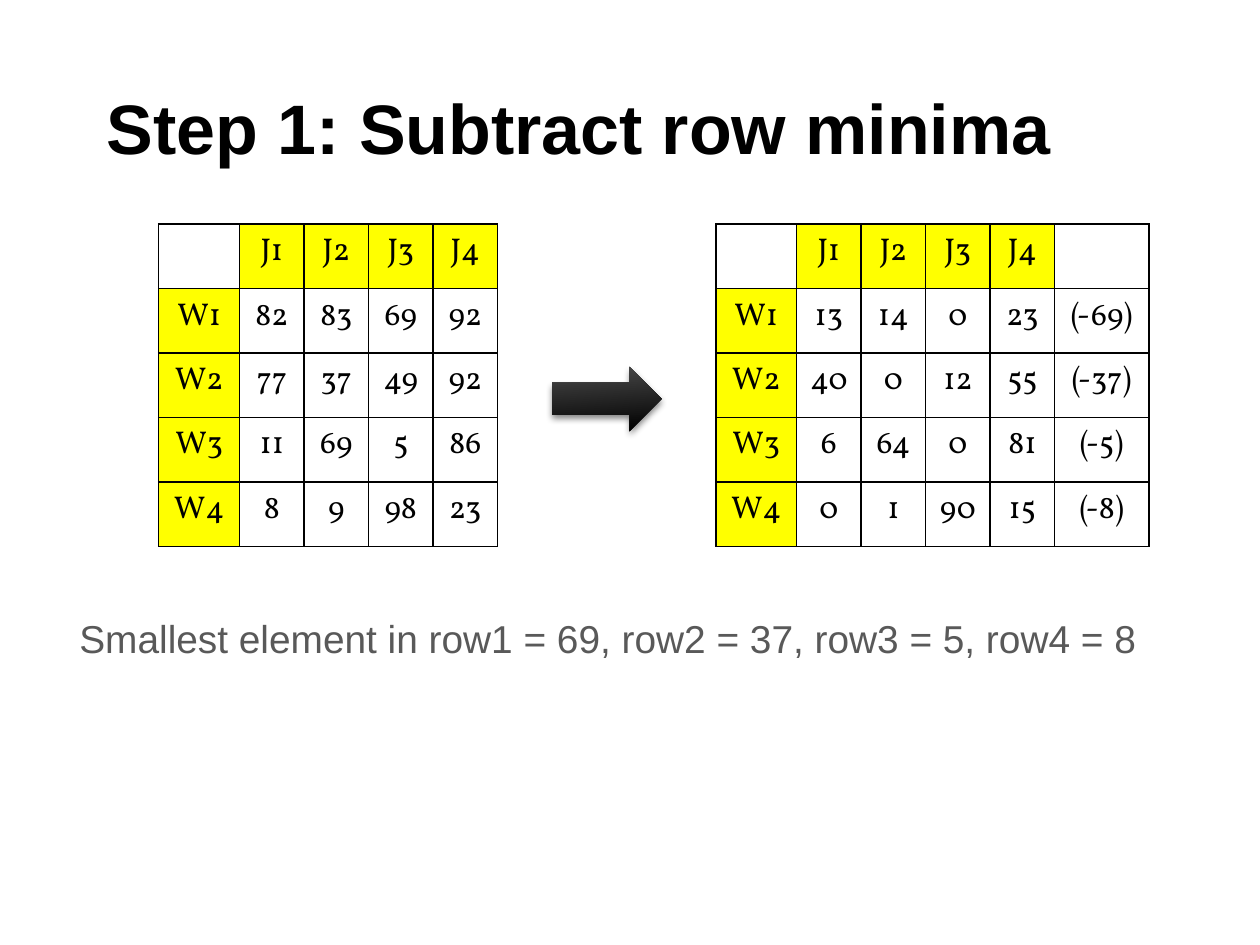
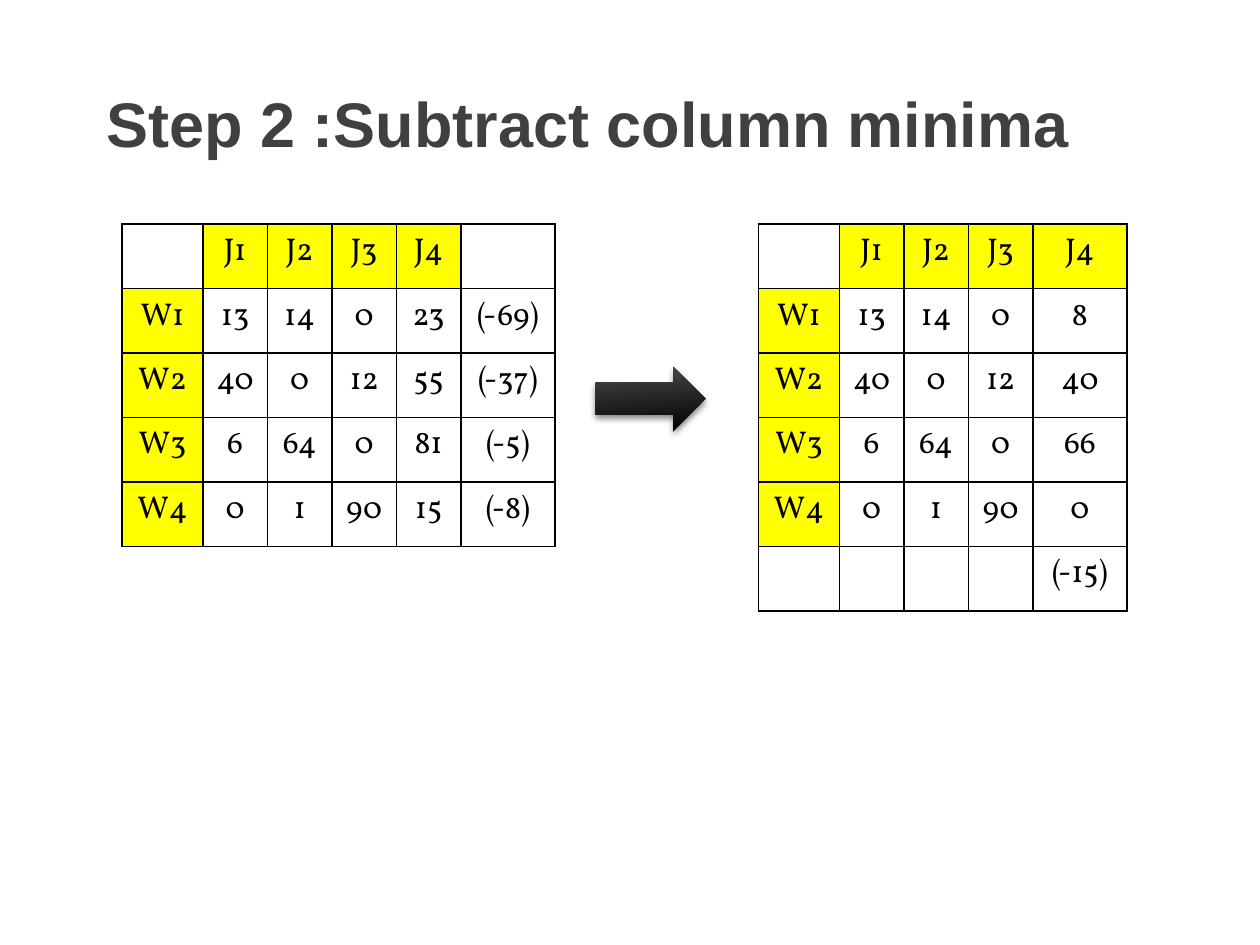
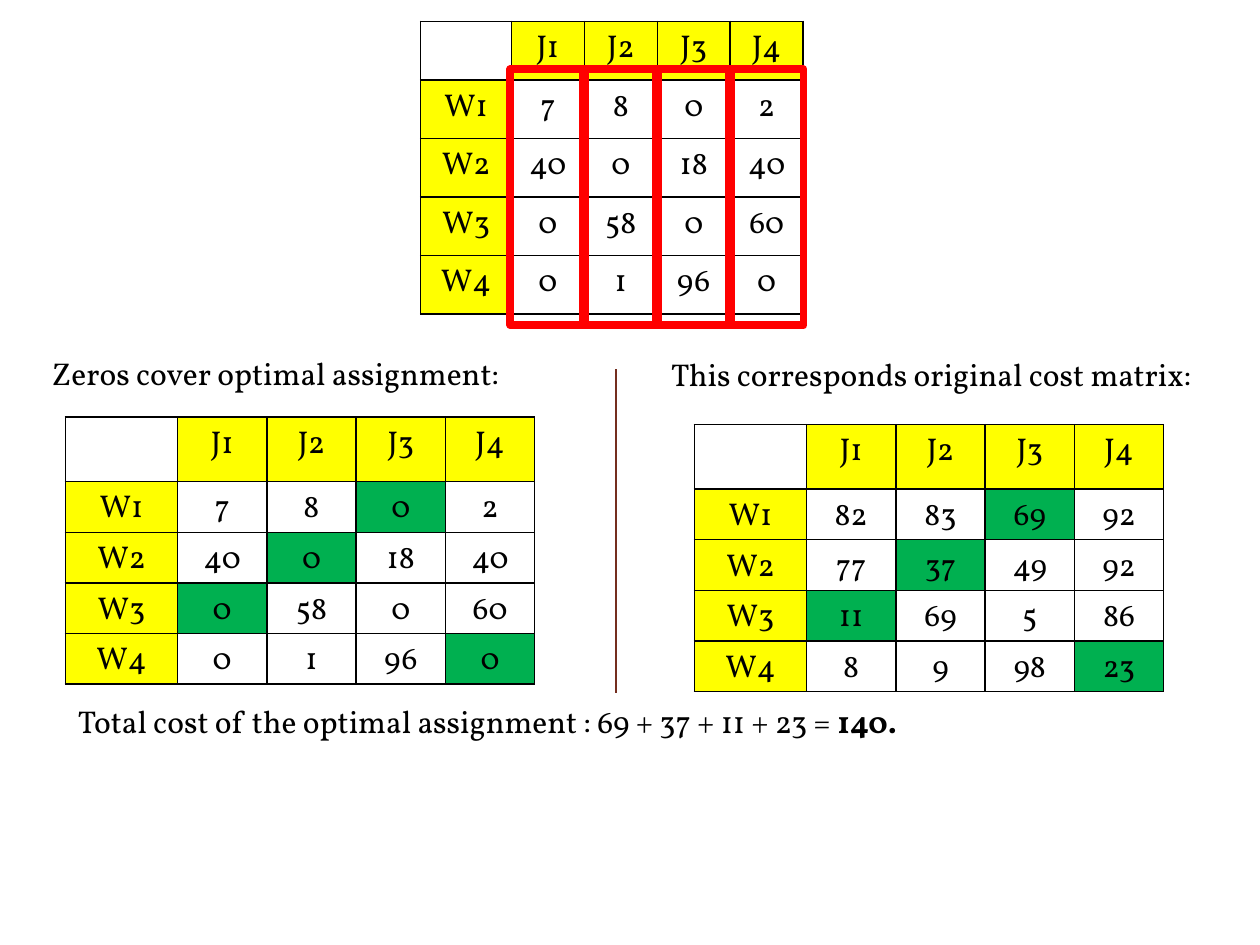
from dataclasses import dataclass

from lxml import etree
from pptx import Presentation
from pptx.dml.color import RGBColor
from pptx.enum.shapes import MSO_CONNECTOR, MSO_SHAPE
from pptx.enum.text import MSO_ANCHOR, PP_ALIGN
from pptx.oxml import parse_xml
from pptx.oxml.ns import nsdecls, qn
from pptx.util import Cm, Pt

RECT, RIGHT_ARROW = MSO_SHAPE.RECTANGLE, MSO_SHAPE.RIGHT_ARROW
STRAIGHT = MSO_CONNECTOR.STRAIGHT
TOP, CENTER = MSO_ANCHOR.TOP, PP_ALIGN.CENTER


@dataclass(frozen=True)
class Theme:
    black: str = "000000"
    dark: str = "404040"
    grey: str = "595959"
    label: str = "FFFF00"
    chosen: str = "00B050"
    cover: str = "FF0000"
    divider: str = "742E1F"
    arrow_top: str = "4A4A4A"
    sans: str = "Arial"
    serif: str = "Vollkorn"
    title1: float = 40
    title2: float = 36
    caption: float = 22.2
    body: float = 18


T = Theme()

# Cost matrix and its reductions
COST = [[82, 83, 69, 92], [77, 37, 49, 92], [11, 69, 5, 86], [8, 9, 98, 23]]
ROW_MINIMA = [min(row) for row in COST]
ROW_REDUCED = [[v - m for v in row] for row, m in zip(COST, ROW_MINIMA)]
COL_MINIMA = [min(col) for col in zip(*ROW_REDUCED)]
COL_REDUCED = [[v - m for v, m in zip(row, COL_MINIMA)] for row in ROW_REDUCED]
FINAL = [[7, 8, 0, 2], [40, 0, 18, 40], [0, 58, 0, 60], [0, 1, 96, 0]]
ASSIGNMENT = {(1, 3), (2, 2), (3, 1), (4, 4)}

# Column widths and row heights in cm
CELL = 1.3
LABEL_W, NOTE_W = 1.63, 1.9
STEP_COLS = [LABEL_W] + [CELL] * 4
NOTED_COLS = STEP_COLS + [NOTE_W]
LAST_WIDE_COLS = [LABEL_W] + [CELL] * 3 + [NOTE_W]
STEP_ROWS = [CELL] * 5
RESULT_COLS = [2.26] + [1.8] * 4
RESULT_ROWS = [CELL] + [1.02] * 4
COVER_COLS = [1.83] + [1.47] * 4
COVER_ROWS = [1.18] * 5


def rgb(value):
    return RGBColor.from_string(value)


def add_run(p, text, size, color=T.black, font=T.serif, bold=False):
    r = p.add_run()
    r.text = text
    r.font.size, r.font.name, r.font.bold = Pt(size), font, bold
    r.font.color.rgb = rgb(color)


def add_text(s, box, *runs, before=0):
    """Each run is a dict of add_run arguments."""
    tf = s.shapes.add_textbox(*map(Cm, box)).text_frame
    tf.word_wrap = True
    tf.vertical_anchor = TOP
    p = tf.paragraphs[0]
    p.space_before = Pt(before)
    for run in runs:
        add_run(p, **run)


def add_title(s, text, size, color):
    add_text(s, (1.9, 1.57, 21.54, 2.92),
             dict(text=text, size=size, color=color, font=T.sans, bold=True))


def labelled(values):
    """Grid of texts with J labels above and W labels at the left."""
    head = [""] + [f"J{i}" for i in range(1, 5)]
    return [head] + [[f"W{i}", *map(str, row)] for i, row in enumerate(values, 1)]


def with_row_notes(grid):
    notes = [""] + [f"(-{m})" for m in ROW_MINIMA]
    return [row + [note] for row, note in zip(grid, notes)]


def with_column_notes(grid):
    return grid + [[""] + [f"(-{m})" if m else "" for m in COL_MINIMA]]


def add_borders(cell):
    tcPr = cell._tc.get_or_add_tcPr()
    for side in ("lnL", "lnR", "lnT", "lnB"):
        tcPr.append(parse_xml(
            f'<a:{side} {nsdecls("a")} w="12700"><a:solidFill>'
            f'<a:srgbClr val="{T.black}"/></a:solidFill></a:{side}>'))


def add_matrix(s, left, top, grid, cols, rows, chosen=()):
    table = s.shapes.add_table(len(rows), len(cols), Cm(left), Cm(top),
                               Cm(sum(cols)), Cm(sum(rows))).table
    table.first_row = table.horz_banding = False
    for column, width in zip(table.columns, cols):
        column.width = Cm(width)
    for row, height in zip(table.rows, rows):
        row.height = Cm(height)
    for i, texts in enumerate(grid):
        for j, text in enumerate(texts):
            cell = table.cell(i, j)
            add_borders(cell)
            if text.startswith(("J", "W")) or (i, j) in chosen:
                cell.fill.solid()
                cell.fill.fore_color.rgb = rgb(T.chosen if (i, j) in chosen else T.label)
            else:
                cell.fill.background()
            p = cell.text_frame.paragraphs[0]
            p.alignment = CENTER
            if text:
                add_run(p, text, T.body)


def add_arrow(s, left, top):
    arrow = s.shapes.add_shape(RIGHT_ARROW, Cm(left), Cm(top), Cm(2.21), Cm(CELL))
    arrow.line.fill.background()
    arrow.fill.gradient()
    arrow.fill.gradient_angle = 274
    for stop, color in zip(arrow.fill.gradient_stops, (T.arrow_top, T.black)):
        stop.color.rgb = rgb(color)
    for stop, position in zip(arrow.fill.gradient_stops, (0, 1)):
        stop.position = position
    # Soft shadow below
    arrow.shadow.inherit = False
    arrow._element.spPr.find(qn("a:effectLst")).append(parse_xml(
        f'<a:outerShdw {nsdecls("a")} blurRad="50800" dist="25400" dir="5400000" '
        f'rotWithShape="0"><a:srgbClr val="{T.black}"><a:alpha val="48000"/>'
        '</a:srgbClr></a:outerShdw>'))


def add_cover_frames(s, left, top):
    """One frame over each job column of the matrix at left, top."""
    for i, pitch in enumerate(COVER_COLS[1:]):
        sp = s.shapes.add_shape(RECT, Cm(left + COVER_COLS[0] + i * pitch - 0.02),
                                Cm(top + 0.97), Cm(1.5), Cm(5.16))
        sp.shadow.inherit = False
        sp.fill.background()
        sp.line.color.rgb = rgb(T.cover)
        sp.line.width = Pt(4.5)


def add_divider(s, x, top, bottom):
    line = s.shapes.add_connector(STRAIGHT, Cm(x), Cm(top), Cm(x), Cm(bottom))
    line.line.color.rgb = rgb(T.divider)
    line.line.width = Pt(1)
    etree.SubElement(line._element.spPr, qn("a:effectLst"))


def add_result(s, left, top, heading, heading_box, values):
    add_text(s, heading_box, dict(text=heading, size=T.body))
    add_matrix(s, left, top, labelled(values), RESULT_COLS, RESULT_ROWS, ASSIGNMENT)


def row_step(s):
    add_title(s, "Step 1: Subtract row minima", T.title1, T.black)
    add_text(s, (1.35, 12.27, 23.42, 1.57),
             dict(text="Smallest element in row1 = 69, row2 = 37, row3 = 5, row4 = 8",
                  size=T.caption, color=T.grey, font=T.sans), before=4)
    add_matrix(s, 3.2, 4.52, labelled(COST), STEP_COLS, STEP_ROWS)
    add_arrow(s, 11.13, 7.39)
    add_matrix(s, 14.43, 4.52, with_row_notes(labelled(ROW_REDUCED)),
               NOTED_COLS, STEP_ROWS)


def column_step(s):
    add_title(s, "Step 2 :Subtract column minima", T.title2, T.dark)
    add_matrix(s, 2.46, 4.52, with_row_notes(labelled(ROW_REDUCED)),
               NOTED_COLS, STEP_ROWS)
    add_arrow(s, 12.01, 7.39)
    add_matrix(s, 15.29, 4.52, with_column_notes(labelled(COL_REDUCED)),
               LAST_WIDE_COLS, STEP_ROWS + [CELL])


def assignment(s):
    # Covered zeros
    left, top = 8.48, 0.43
    add_matrix(s, left, top, labelled(FINAL), COVER_COLS, COVER_ROWS)
    add_cover_frames(s, left, top)
    # Assignment beside the matching costs
    add_result(s, 1.32, 8.41, "Zeros cover optimal assignment:",
               (0.79, 7.01, 10.08, 1.02), FINAL)
    add_divider(s, 12.42, 7.44, 13.97)
    add_result(s, 14, 8.56, "This corresponds original cost matrix:",
               (13.28, 7.04, 11.25, 1.02), COST)
    # Total
    add_text(s, (1.32, 14.02, 17.96, 1.02),
             dict(text="Total cost of the optimal assignment : 69 + 37 + 11 + 23 = ",
                  size=T.body),
             dict(text="140.", size=T.body, bold=True))


def main():
    prs = Presentation()
    prs.slide_width, prs.slide_height = Cm(25.4), Cm(19.05)
    for build in (row_step, column_step, assignment):
        build(prs.slides.add_slide(prs.slide_layouts[6]))
    prs.save("out.pptx")


if __name__ == "__main__":
    main()
